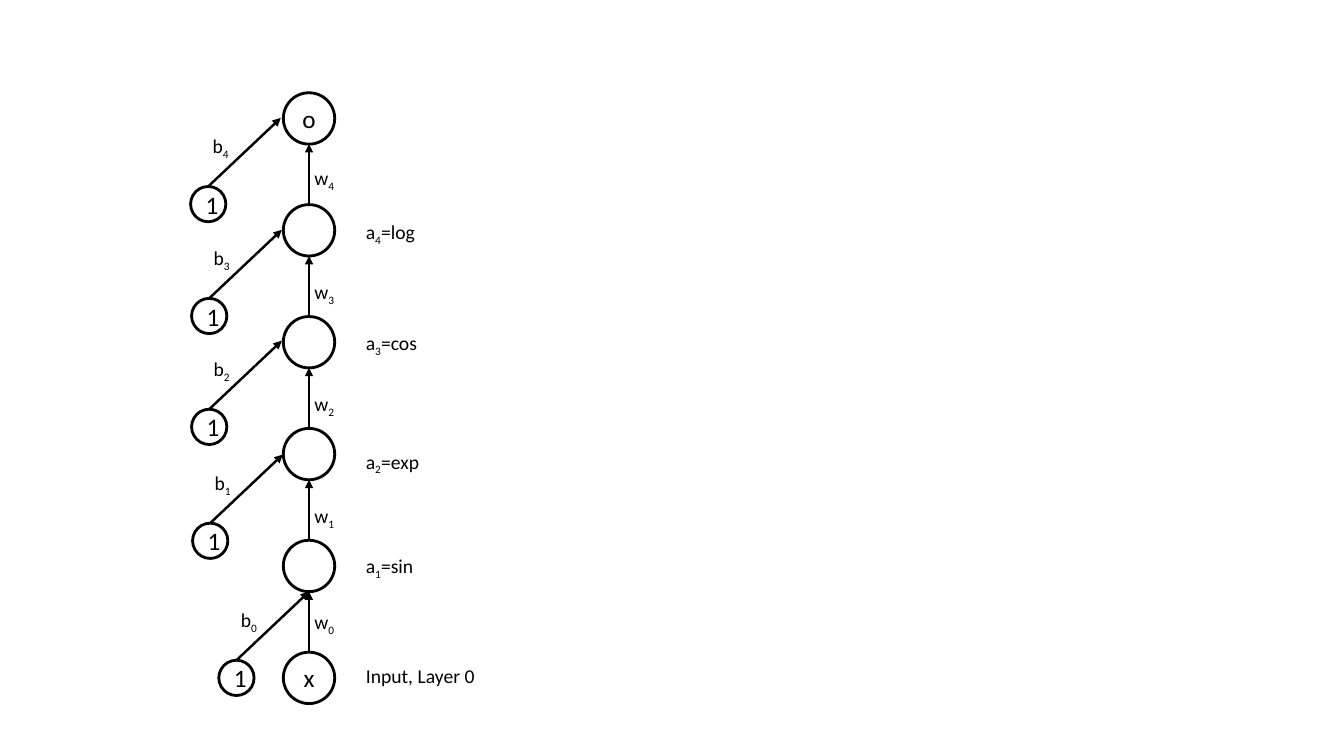
import pptx
import pptx.util
import pptx.dml.color
import pptx.enum.shapes
import pptx.enum.text
import lxml.etree

# Content, bottom to top: node text, side label as (base, subscript, rest), side label top
NODES = [
    ("x", ("Input, Layer 0", "", ""), 6.54),
    ("", ("a", "1", "=sin"), 5.45),
    ("", ("a", "2", "=exp"), 4.41),
    ("", ("a", "3", "=cos"), 3.23),
    ("", ("a", "4", "=log"), 2.13),
    ("o", None, None),
]
# One per layer: weight label top, bias circle left and top
LAYERS = [
    (6.00, 2.17, 6.55),
    (4.95, 1.91, 5.19),
    (3.84, 1.90, 4.06),
    (2.73, 1.90, 2.96),
    (1.60, 1.89, 1.85),
]

# Layout in inches
WIDTH, HEIGHT = 13.33, 7.5
NODE_LEFT, NODE_SIZE = 2.81, 0.51
BOTTOM_ROW, ROW_PITCH = 6.47, 1.11
BIAS_SIZE = 0.35
BIAS_REACH = (0.72, -0.68)
BIAS_LABEL_OFFSET = (0.12, -0.57)
SIDE_LEFT, WEIGHT_LEFT = 3.53, 3.02
SIDE_WIDTH, WEIGHT_WIDTH, BIAS_WIDTH, LABEL_HEIGHT = 1.59, 0.8, 0.49, 0.34
FONT, INK = "Calibri", "000000"
DRAWING = "http://schemas.openxmlformats.org/drawingml/2006/main"

inches = pptx.util.Inches


def colour(value):
    return pptx.dml.color.RGBColor.from_string(value)


def style_run(run, size):
    run.font.name = FONT
    run.font.size = pptx.util.Pt(size)
    run.font.color.rgb = colour(INK)


def add_circle(slide, left, top, size, text):
    circle = slide.shapes.add_shape(
        pptx.enum.shapes.MSO_SHAPE.OVAL,
        inches(left), inches(top), inches(size), inches(size))
    circle.shadow.inherit = False
    circle.fill.background()
    circle.line.color.rgb = colour(INK)
    circle.line.width = pptx.util.Pt(2)
    circle.text_frame.vertical_anchor = pptx.enum.text.MSO_ANCHOR.MIDDLE
    paragraph = circle.text_frame.paragraphs[0]
    paragraph.alignment = pptx.enum.text.PP_ALIGN.CENTER
    if text:
        paragraph.text = text
        style_run(paragraph.runs[0], 18)
    return circle


def add_label(slide, left, top, width, parts):
    box = slide.shapes.add_textbox(
        inches(left), inches(top), inches(width), inches(LABEL_HEIGHT))
    box.text_frame.word_wrap = True
    paragraph = box.text_frame.paragraphs[0]
    for position, part in enumerate(parts):
        if part:
            run = paragraph.add_run()
            run.text = part
            style_run(run, 14)
            if position == 1:
                run.font._element.set("baseline", "-25000")


def add_arrow(slide, circle, end_x, end_y):
    """Draw an arrow from the top of a circle to a point."""
    arrow = slide.shapes.add_connector(
        pptx.enum.shapes.MSO_CONNECTOR.STRAIGHT,
        circle.left + circle.width // 2, circle.top, inches(end_x), inches(end_y))
    arrow.begin_connect(circle, 0)
    arrow.line.color.rgb = colour(INK)
    arrow.line.width = pptx.util.Pt(1.75)
    properties = arrow._element.spPr
    line = properties.find(f"{{{DRAWING}}}ln")
    lxml.etree.SubElement(line, f"{{{DRAWING}}}tailEnd", type="triangle")
    lxml.etree.SubElement(properties, f"{{{DRAWING}}}effectLst")


def main():
    presentation = pptx.Presentation()
    presentation.slide_width = inches(WIDTH)
    presentation.slide_height = inches(HEIGHT)
    slide = presentation.slides.add_slide(presentation.slide_layouts[6])

    # Column of nodes with side labels
    tops = [BOTTOM_ROW - row * ROW_PITCH for row in range(len(NODES))]
    nodes = []
    for top, (text, side_label, side_top) in zip(tops, NODES):
        nodes.append(add_circle(slide, NODE_LEFT, top, NODE_SIZE, text))
        if side_label:
            add_label(slide, SIDE_LEFT, side_top, SIDE_WIDTH, side_label)

    # Weights between nodes, and a bias for each layer
    for layer, (weight_top, bias_left, bias_top) in enumerate(LAYERS):
        add_arrow(slide, nodes[layer], NODE_LEFT + NODE_SIZE / 2,
                  tops[layer + 1] + NODE_SIZE)
        add_label(slide, WEIGHT_LEFT, weight_top, WEIGHT_WIDTH, ("w", str(layer)))

        bias = add_circle(slide, bias_left, bias_top, BIAS_SIZE, "1")
        add_arrow(slide, bias, bias_left + BIAS_SIZE / 2 + BIAS_REACH[0],
                  bias_top + BIAS_REACH[1])
        add_label(slide, bias_left + BIAS_LABEL_OFFSET[0],
                  bias_top + BIAS_LABEL_OFFSET[1], BIAS_WIDTH, ("b", str(layer)))

    presentation.save("out.pptx")


if __name__ == "__main__":
    main()
